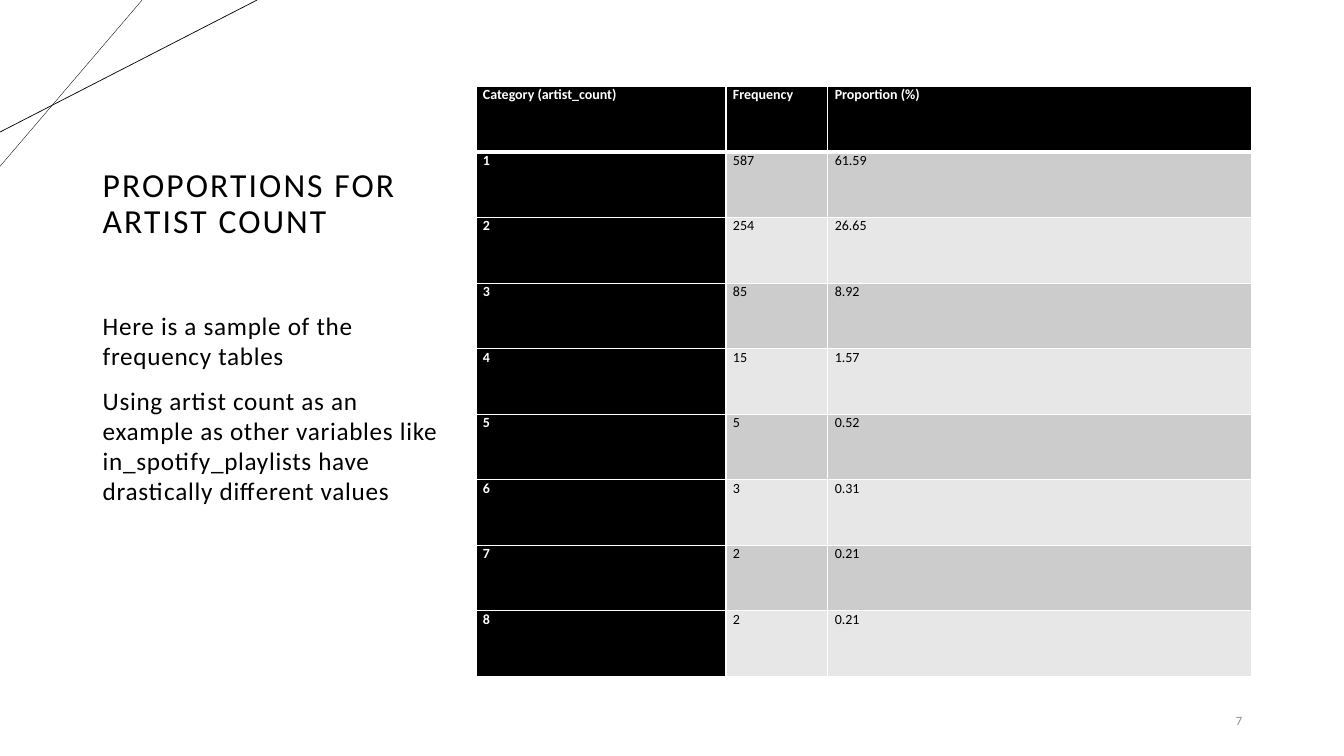
from lxml.etree import SubElement
from pptx import Presentation
from pptx.dml.color import RGBColor
from pptx.enum.shapes import MSO_CONNECTOR as Connector
from pptx.enum.text import MSO_ANCHOR as Anchor, PP_ALIGN as Align
from pptx.oxml.ns import qn
from pptx.util import Inches, Pt

BLACK = RGBColor(0x00, 0x00, 0x00)
WHITE = RGBColor(0xFF, 0xFF, 0xFF)
DARK_BAND = RGBColor(0xCC, 0xCC, 0xCC)
LIGHT_BAND = RGBColor(0xE7, 0xE7, 0xE7)
PAGE_GRAY = RGBColor(0x8C, 0x8C, 0x8C)
FONT = "Calibri"

COLUMN_WIDTHS = (2.48, 1.01, 4.2)
ROW_HEIGHT = 0.65
FREQUENCY_ROWS = (
    ("Category (artist_count)", "Frequency", "Proportion (%)"),
    ("1", "587", "61.59"),
    ("2", "254", "26.65"),
    ("3", "85", "8.92"),
    ("4", "15", "1.57"),
    ("5", "5", "0.52"),
    ("6", "3", "0.31"),
    ("7", "2", "0.21"),
    ("8", "2", "0.21"),
)
BODY_TEXTS = (
    "Here is a sample of the frequency tables",
    "Using artist count as an example as other variables like "
    "in_spotify_playlists have drastically different values",
)


def add_span(para, text, size, color, bold=False, spacing=0):
    """Add one formatted run, with letter spacing in points."""
    span = para.add_run()
    span.text = text
    span.font.name = FONT
    span.font.size = Pt(size)
    span.font.bold = bold
    span.font.color.rgb = color
    if spacing:
        span.font._element.set("spc", str(round(spacing * 100)))


def add_text(page, place, texts, size, color=BLACK, spacing=0, anchor=Anchor.MIDDLE,
             align=Align.LEFT, line_spacing=1.0, top_inset=0.05):
    """Add a wrapped text box with one paragraph per text."""
    box = page.shapes.add_textbox(*map(Inches, place))
    frame = box.text_frame
    frame.word_wrap = True
    frame.vertical_anchor = anchor
    frame.margin_top = Inches(top_inset)
    for index, text in enumerate(texts):
        para = frame.add_paragraph() if index else frame.paragraphs[0]
        para.alignment = align
        para.line_spacing = line_spacing
        if index:
            para.space_before = Pt(10)
        add_span(para, text, size, color, spacing=spacing)


def add_corner_line(page, top_x, left_y, width):
    """Draw a line from the top edge of the page to its left edge."""
    line = page.shapes.add_connector(
        Connector.STRAIGHT, Inches(top_x), Inches(0), Inches(0), Inches(left_y))
    line.line.color.rgb = BLACK
    line.line.width = Pt(width)
    SubElement(line._element.spPr, qn("a:effectLst"))


def set_borders(cell, top, bottom):
    """Give a cell white borders with the given top and bottom widths."""
    properties = cell._tc.get_or_add_tcPr()
    for side, width in (("L", 1), ("R", 1), ("T", top), ("B", bottom)):
        border = SubElement(properties, qn(f"a:ln{side}"), w=str(Pt(width)))
        fill = SubElement(border, qn("a:solidFill"))
        SubElement(fill, qn("a:srgbClr"), val=str(WHITE))


def add_frequency_table(page, left, top):
    """Add the banded table with a black header row and first column."""
    table = page.shapes.add_table(
        len(FREQUENCY_ROWS), len(COLUMN_WIDTHS), Inches(left), Inches(top),
        Inches(sum(COLUMN_WIDTHS)), Inches(ROW_HEIGHT * len(FREQUENCY_ROWS))).table
    for column, width in zip(table.columns, COLUMN_WIDTHS):
        column.width = Inches(width)
    for row_index, values in enumerate(FREQUENCY_ROWS):
        table.rows[row_index].height = Inches(ROW_HEIGHT)
        band = DARK_BAND if row_index % 2 else LIGHT_BAND
        for column_index, value in enumerate(values):
            cell = table.cell(row_index, column_index)
            heading = row_index == 0 or column_index == 0
            cell.margin_left = cell.margin_right = Inches(0.07)
            cell.margin_top = cell.margin_bottom = Inches(0)
            set_borders(cell, 3 if row_index == 1 else 1, 3 if row_index == 0 else 1)
            cell.fill.solid()
            cell.fill.fore_color.rgb = BLACK if heading else band
            add_span(cell.text_frame.paragraphs[0], value, 10,
                     WHITE if heading else BLACK, bold=heading)


def main():
    """Build the artist count slide."""
    deck = Presentation()
    deck.slide_width, deck.slide_height = Inches(13.33), Inches(7.5)
    page = deck.slides.add_slide(deck.slide_layouts[6])
    add_corner_line(page, 1.41, 1.65, 0.25)
    add_corner_line(page, 2.55, 1.31, 0.5)
    add_text(page, (0.92, 0.98, 3.55, 2.1), ["PROPORTIONS FOR ARTIST COUNT"], 24,
             spacing=1.5, line_spacing=0.9)
    add_text(page, (0.92, 3.08, 3.55, 3.54), BODY_TEXTS, 18,
             spacing=0.5, anchor=Anchor.TOP, top_inset=0)
    add_frequency_table(page, 4.72, 0.86)
    add_text(page, (11.34, 6.95, 1.08, 0.4), ["7"], 9, PAGE_GRAY, align=Align.RIGHT)
    deck.save("out.pptx")


if __name__ == "__main__":
    main()
